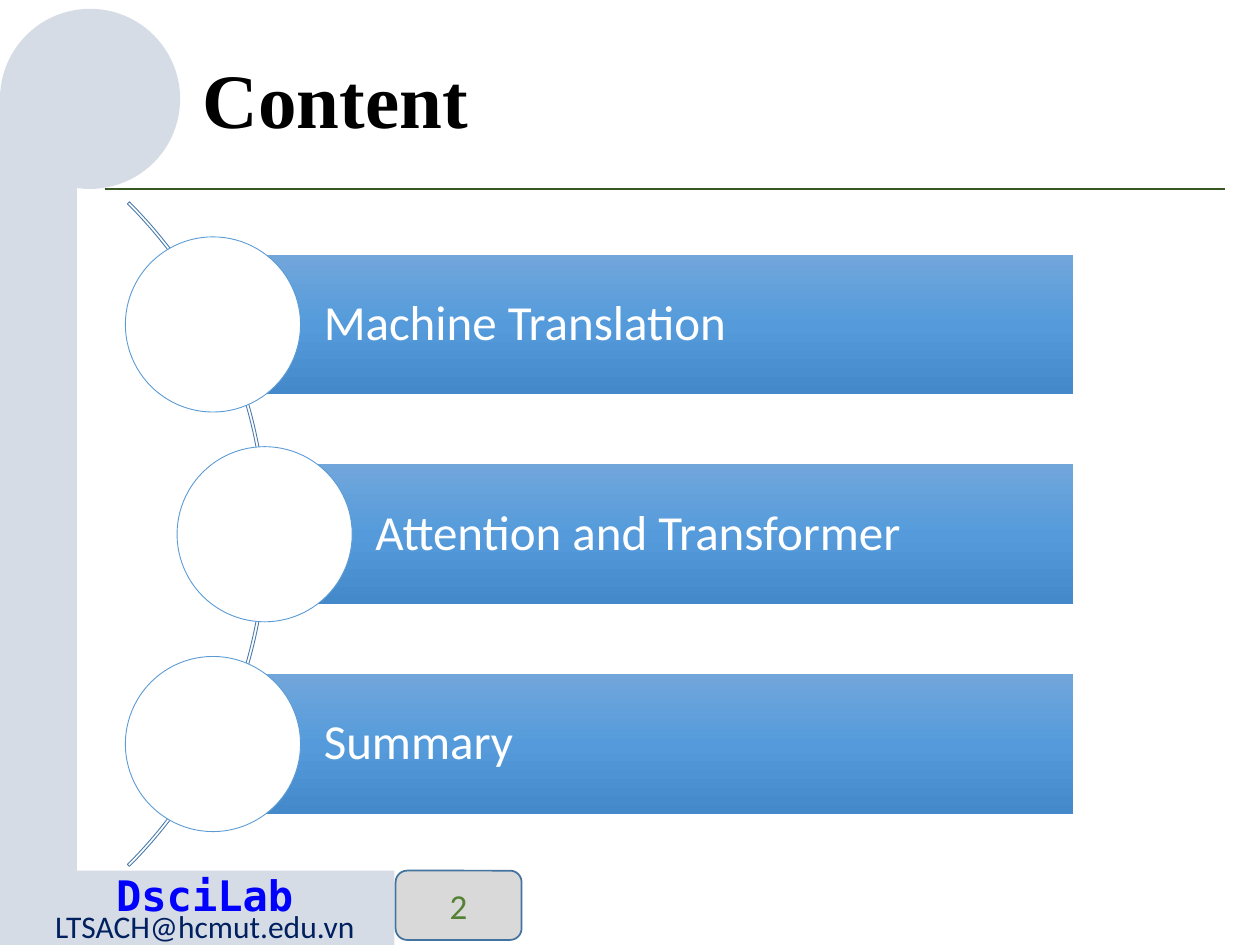
import copy

import pptx
import pptx.dml.color
import pptx.enum.shapes
import pptx.enum.text
import pptx.oxml
import pptx.oxml.ns
import pptx.util
from lxml import etree

Inches = pptx.util.Inches
Pt = pptx.util.Pt
KIND = pptx.enum.shapes.MSO_SHAPE
ALIGN = pptx.enum.text.PP_ALIGN
ANCHOR = pptx.enum.text.MSO_ANCHOR
qn = pptx.oxml.ns.qn

COLORS = {
    "rule": "385723", "frame": "D6DCE5", "badge": "D9D9D9",
    "edge": "43739E", "number": "548235", "lab": "0000FF",
    "mail": "002060", "black": "000000", "white": "FFFFFF",
    "arc": "497CAB", "ring": "5B9BD5",
    "top": "71A6DB", "middle": "559BDB", "bottom": "448ACA",
}
TOPICS = ["Machine Translation", "Attention and Transformer", "Summary"]
INDENTS = [1.69, 2.1, 1.69]
BAR_TOP, BAR_STEP, BAR_HIGH, BAR_RIGHT = 2.02, 1.665, 1.11, 8.52
DISC = 1.39


def tint(name):
    return pptx.dml.color.RGBColor.from_string(COLORS[name])


def add_shape(slide, kind, box, fill=None, line=None, width=1):
    shape = slide.shapes.add_shape(kind, *map(Inches, box))
    shape.shadow.inherit = False
    if fill:
        shape.fill.solid()
        shape.fill.fore_color.rgb = tint(fill)
    else:
        shape.fill.background()
    if line:
        shape.line.color.rgb = tint(line)
        shape.line.width = Pt(width)
    else:
        shape.line.fill.background()
    return shape


def add_rule(slide, left, right, top):
    rule = slide.shapes.add_connector(
        pptx.enum.shapes.MSO_CONNECTOR.STRAIGHT,
        Inches(left), Inches(top), Inches(right), Inches(top))
    rule.line.color.rgb = tint("rule")
    rule.line.width = Pt(1)
    etree.SubElement(rule._element.spPr, qn("a:effectLst"))


def add_text(shape, text, size, color, font="Calibri", bold=False,
             align=ALIGN.LEFT, anchor=ANCHOR.MIDDLE, wrap=True, space=1.0):
    frame = shape.text_frame
    frame.word_wrap = wrap
    frame.vertical_anchor = anchor
    para = frame.paragraphs[0]
    para.alignment = align
    para.line_spacing = space
    run = para.add_run()
    run.text = text
    run.font.size = Pt(size)
    run.font.name = font
    run.font.bold = bold
    run.font.color.rgb = tint(color)
    return run


def add_box(slide, box, *args, **style):
    shape = slide.shapes.add_textbox(*map(Inches, box))
    return add_text(shape, *args, **style)


def add_glow(run):
    space = pptx.oxml.ns.nsdecls("a")
    line = pptx.oxml.parse_xml(
        f'<a:ln {space} w="9525"><a:solidFill><a:srgbClr val="{COLORS["white"]}"/>'
        '</a:solidFill></a:ln>')
    shade = pptx.oxml.parse_xml(
        f'<a:effectLst {space}><a:outerShdw blurRad="50800" dist="38100" dir="2700000">'
        f'<a:srgbClr val="{COLORS["black"]}"><a:alpha val="40000"/></a:srgbClr>'
        '</a:outerShdw></a:effectLst>')
    props = run.font._element
    props.insert(0, line)
    props.find(qn("a:solidFill")).addnext(shade)


def add_blend(shape):
    shape.fill.gradient()
    shape.fill.gradient_angle = 270
    stops = shape._element.spPr.find(".//" + qn("a:gsLst"))
    stops.append(copy.deepcopy(stops[-1]))
    names = ["top", "middle", "bottom"]
    for rank, (stop, name) in enumerate(zip(shape.fill.gradient_stops, names)):
        stop.color.rgb = tint(name)
        stop.position = rank / 2


def add_topic(slide, text, left, top):
    bar = add_shape(slide, KIND.RECTANGLE, (left, top, BAR_RIGHT - left, BAR_HIGH))
    add_blend(bar)
    frame = bar.text_frame
    frame.margin_left = Inches(0.88)
    frame.margin_right = frame.margin_top = frame.margin_bottom = Inches(0.08)
    add_text(bar, text, 28, "white", space=0.9)
    disc = (left - DISC / 2, top + (BAR_HIGH - DISC) / 2, DISC, DISC)
    add_shape(slide, KIND.OVAL, disc, "white", "ring", 0.5)


def add_frame(slide):
    add_rule(slide, 0.83, 9.72, 1.5)
    add_shape(slide, KIND.RECTANGLE, (0, 0.81, 0.61, 6.21), "frame")
    add_shape(slide, KIND.OVAL, (0, 0.07, 1.43, 1.43), "frame")
    add_shape(slide, KIND.RECTANGLE, (0, 6.91, 3.13, 0.61), "frame")
    lab = add_box(slide, (0.16, 6.85, 2.93, 0.5), "DsciLab", 24, "lab",
                  font="DejaVu Sans Mono", bold=True,
                  align=ALIGN.CENTER, anchor=ANCHOR.TOP)
    add_glow(lab)
    badge = add_shape(slide, KIND.ROUNDED_RECTANGLE, (3.14, 6.91, 1, 0.55),
                      "badge", "edge")
    add_text(badge, "2", 20, "number", align=ALIGN.CENTER)
    add_box(slide, (0.34, 7.15, 2.6, 0.4), "LTSACH@hcmut.edu.vn", 18, "mail",
            anchor=ANCHOR.TOP, wrap=False)


def main():
    deck = pptx.Presentation()
    deck.slide_width, deck.slide_height = Inches(10), Inches(7.5)
    slide = deck.slides.add_slide(deck.slide_layouts[6])
    add_frame(slide)
    add_box(slide, (1.51, 0.18, 8.22, 1.28), "Content", 44, "black",
            font="Times New Roman", bold=True, space=0.9)
    arc = add_shape(slide, KIND.BLOCK_ARC, (-5.34, 0.51, 7.46, 7.46),
                    line="arc", width=0.5)
    for rank, value in enumerate([189, 27, 0.003]):
        arc.adjustments[rank] = value
    for rank, (text, left) in enumerate(zip(TOPICS, INDENTS)):
        add_topic(slide, text, left, BAR_TOP + rank * BAR_STEP)
    deck.save("out.pptx")


if __name__ == "__main__":
    main()
